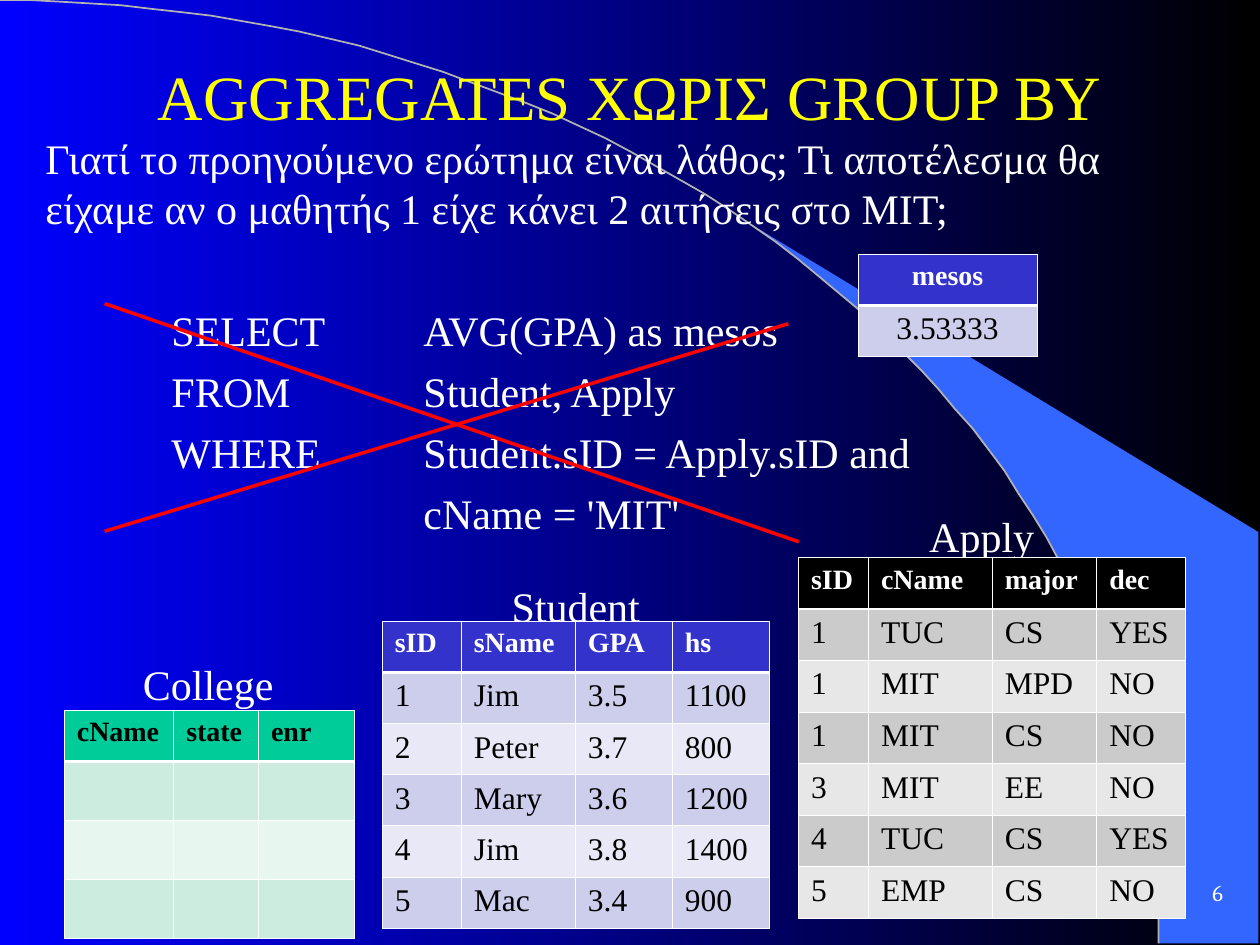
import math

from lxml import etree
from pptx import Presentation
from pptx.dml.color import RGBColor
from pptx.enum import shapes, text
from pptx.oxml import ns
from pptx.util import Pt

WHITE = RGBColor(0xFF, 0xFF, 0xFF)
BLACK = RGBColor(0, 0, 0)
YELLOW = RGBColor(0xFF, 0xFF, 0)
RED = RGBColor(0xFF, 0, 0)
BLUE = RGBColor(0, 0, 0xFF)
FIN_BLUE = RGBColor(0x33, 0x66, 0xFF)
ARC_GREY = RGBColor(0xB2, 0xB2, 0xB2)
INDIGO = (RGBColor(0x33, 0x33, 0xCC), RGBColor(0xCD, 0xCD, 0xEC), RGBColor(0xE8, 0xE8, 0xF6))
GREEN = (RGBColor(0, 0xCC, 0x99), RGBColor(0xCB, 0xEC, 0xDE), RGBColor(0xE7, 0xF6, 0xEF))
GREY = (BLACK, RGBColor(0xCB, 0xCB, 0xCB), RGBColor(0xE7, 0xE7, 0xE7))

SERIF = "Times New Roman"
LEFT, CENTER, RIGHT = text.PP_ALIGN.LEFT, text.PP_ALIGN.CENTER, text.PP_ALIGN.RIGHT


def place(sp, box):
    sp.left, sp.top, sp.width, sp.height = (Pt(v) for v in box)


def add_run(p, words, size, color, font=SERIF, bold=False):
    r = p.add_run()
    r.text = words
    r.font.name, r.font.size, r.font.bold = font, Pt(size), bold
    r.font.color.rgb = color


def add_box(s, box):
    tf = s.shapes.add_textbox(*(Pt(v) for v in box)).text_frame
    tf.word_wrap = True
    return tf


def add_outline(s, points):
    builder = s.shapes.build_freeform(*points[0], scale=Pt(1))
    builder.add_line_segments(points[1:], close=False)
    sp = builder.convert_to_shape()
    sp.shadow.inherit = False
    return sp


def add_background(s, box):
    fill = s.background.fill
    fill.gradient()
    fill.gradient_angle = 0
    for stop, color, position in zip(fill.gradient_stops, (BLUE, BLACK), (0, 1)):
        stop.color.rgb, stop.position = color, position

    x, y, w, h = box
    rx, ry = w * 0.92, h - 1

    def arc(start, steps):
        angles = [start + (math.pi / 2 - start) * i / steps for i in range(steps + 1)]
        return [(x + rx * math.sin(a), y + ry * (1 - math.cos(a))) for a in angles]

    fin = add_outline(s, arc(math.asin(0.64), 30) + [(x + w - 1, y + ry), (x + w - 1, y + 304.5)])
    fin.fill.solid()
    fin.fill.fore_color.rgb = FIN_BLUE
    fin.line.fill.background()

    curve = add_outline(s, arc(0, 60))
    curve.fill.background()
    curve.line.color.rgb = ARC_GREY
    curve.line.width = Pt(1)


def add_title(s, box):
    title = s.shapes.title
    title.element.getparent().append(title.element)
    place(title, box)
    tf = title.text_frame
    tf.vertical_anchor = text.MSO_ANCHOR.MIDDLE
    p = tf.paragraphs[0]
    p.alignment = CENTER
    add_run(p, "AGGREGATES ΧΩΡΙΣ GROUP BY", 36, YELLOW)


def add_page_number(s, box):
    tf = add_box(s, box)
    tf.vertical_anchor = text.MSO_ANCHOR.MIDDLE
    p = tf.paragraphs[0]
    p.alignment = RIGHT
    add_run(p, "6", 13, WHITE, "Cambria")


def add_query(s, box):
    tf = add_box(s, box)
    tf.margin_left = tf.margin_right = Pt(6.5)
    lines = [
        ("Γιατί το προηγούμενο ερώτημα είναι λάθος; Τι αποτέλεσμα θα "
         "είχαμε αν ο μαθητής 1 είχε κάνει 2 αιτήσεις στο MIT;", 0),
        ("\tSELECT\tAVG(GPA) as mesos", 40.8),
        ("\tFROM\tStudent, Apply", 6),
        ("\tWHERE\tStudent.sID = Apply.sID and", 6),
        ("\t\tcName = 'MIT'", 6),
    ]
    for i, (words, gap) in enumerate(lines):
        p = tf.paragraphs[0] if i == 0 else tf.add_paragraph()
        p.line_spacing, p.space_before = Pt(28.8), Pt(gap)
        tabs = etree.SubElement(p._p.get_or_add_pPr(), ns.qn("a:tabLst"))
        for position in (72, 216):
            etree.SubElement(tabs, ns.qn("a:tab"), pos=str(Pt(position)), algn="l")
        add_run(p, words, 24, WHITE)


def add_cross(s, box):
    x, y, w, h = box
    for x2, y1, y2 in ((x + w, y, y + h), (x + w - 6, y + h - 6, y + 11.5)):
        line = s.shapes.add_connector(
            shapes.MSO_CONNECTOR.STRAIGHT, Pt(x), Pt(y1), Pt(x2), Pt(y2))
        line.line.color.rgb = RED
        line.line.width = Pt(2)
        etree.SubElement(line._element.spPr, ns.qn("a:effectLst"))


def add_label(s, box, words):
    p = add_box(s, box).paragraphs[0]
    p.alignment = CENTER
    p.line_spacing = Pt(28.8)
    add_run(p, words, 24, WHITE)


def set_borders(cell, row):
    tc_pr = cell._tc.get_or_add_tcPr()
    heavy = {0: "lnB", 1: "lnT"}.get(row)
    for side in ("lnL", "lnR", "lnT", "lnB"):
        width = Pt(1.47 if side == heavy else 0.45)
        ln = etree.SubElement(tc_pr, ns.qn("a:" + side), w=str(width))
        solid = etree.SubElement(ln, ns.qn("a:solidFill"))
        etree.SubElement(solid, ns.qn("a:srgbClr"), val=str(WHITE))


def add_grid(s, box, widths, rows, colors, head_color=WHITE, align=LEFT, body_height=29.2):
    table = s.shapes.add_table(len(rows), len(widths), *(Pt(v) for v in box)).table
    for column, width in zip(table.columns, widths):
        column.width = Pt(width)
    for i, values in enumerate(rows):
        table.rows[i].height = Pt(body_height if i else 29.2)
        for j, value in enumerate(values):
            cell = table.cell(i, j)
            set_borders(cell, i)
            cell.fill.solid()
            cell.fill.fore_color.rgb = colors[2 - i % 2] if i else colors[0]
            if value:
                p = cell.text_frame.paragraphs[0]
                p.alignment = align
                add_run(p, value, 18 if i else 16, BLACK if i else head_color, bold=i == 0)


def main():
    prs = Presentation()
    prs.slide_width, prs.slide_height = Pt(720), Pt(540)
    s = prs.slides.add_slide(prs.slide_layouts[5])

    add_background(s, (0, 0, 720, 540))
    add_page_number(s, (666, 492, 40, 36))
    add_title(s, (54, 9.5, 612, 90))
    add_query(s, (19.5, 72, 663, 324))

    add_grid(s, (36.8, 406, 165.6, 130.5), (62.5, 48.5, 55),
             [("cName", "state", "enr")] + [("", "", "")] * 3,
             GREEN, head_color=BLACK, body_height=33.75)
    add_label(s, (65, 373, 108, 36), "College")
    add_label(s, (275, 328, 108, 36), "Student")
    add_label(s, (507, 288, 108, 36), "Apply")
    add_grid(s, (490.5, 145.3, 102, 58.4), (102,), [("mesos",), ("3.53333",)],
             INDIGO, align=CENTER)
    add_grid(s, (456.3, 318.7, 221.2, 206.5), (40, 70.7, 59.7, 50.8), [
        ("sID", "cName", "major", "dec"),
        ("1", "TUC", "CS", "YES"),
        ("1", "MIT", "MPD", "NO"),
        ("1", "ΜΙΤ", "CS", "NO"),
        ("3", "MIT", "EE", "NO"),
        ("4", "TUC", "CS", "YES"),
        ("5", "EMP", "CS", "NO"),
    ], GREY, body_height=29.5)
    add_cross(s, (59.8, 173.5, 396.7, 136.1))
    add_grid(s, (218.4, 355.1, 221.2, 175), (45.2, 65.2, 55.4, 55.4), [
        ("sID", "sName", "GPA", "hs"),
        ("1", "Jim", "3.5", "1100"),
        ("2", "Peter", "3.7", "800"),
        ("3", "Mary", "3.6", "1200"),
        ("4", "Jim", "3.8", "1400"),
        ("5", "Mac", "3.4", "900"),
    ], INDIGO)

    prs.save("out.pptx")


if __name__ == "__main__":
    main()
